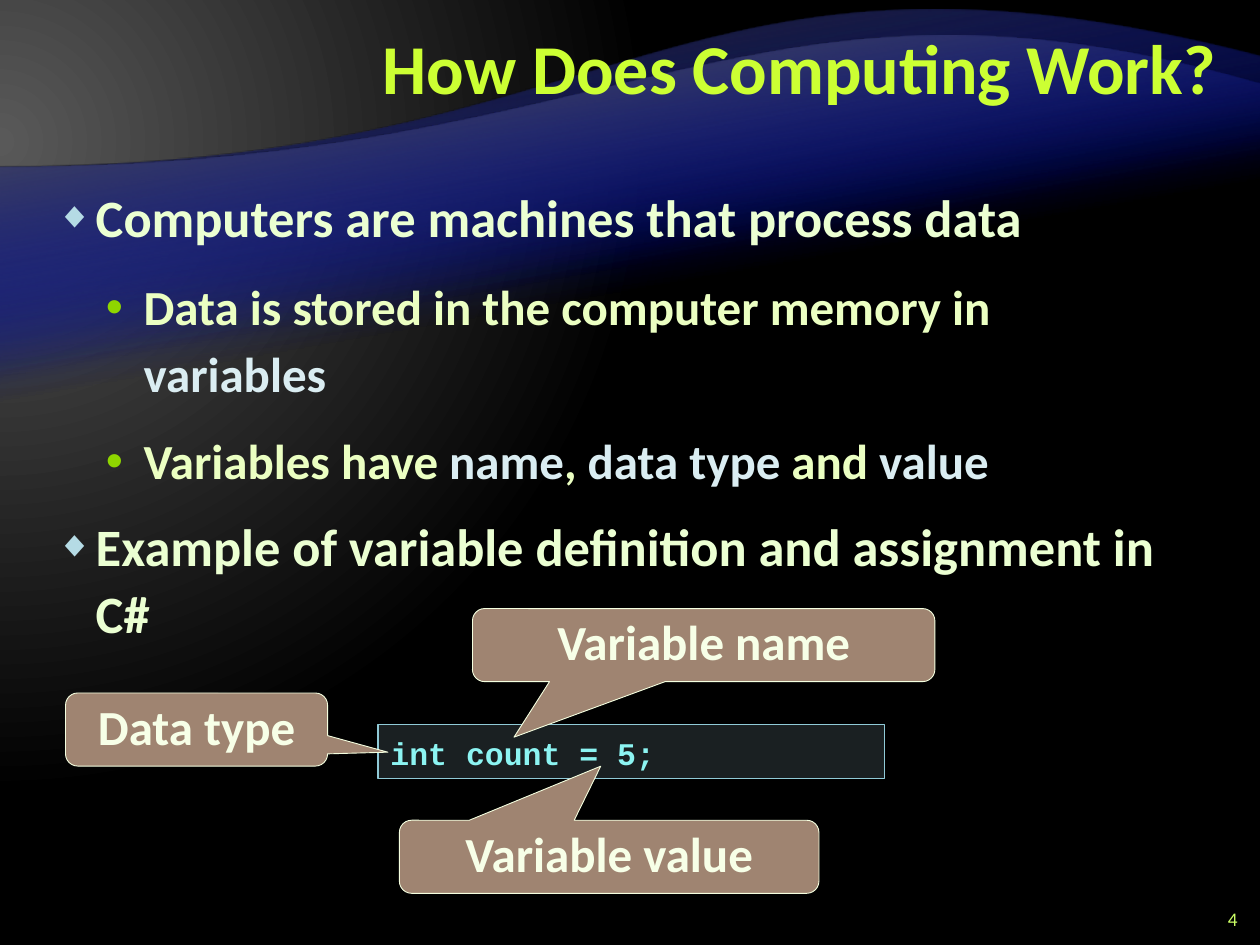
from lxml import etree
from pptx import Presentation
from pptx.dml.color import RGBColor
from pptx.enum.shapes import MSO_SHAPE as SHAPE
from pptx.enum.text import MSO_ANCHOR as ANCHOR, MSO_AUTO_SIZE as AUTO, PP_ALIGN as ALIGN
from pptx.oxml import parse_xml
from pptx.oxml.ns import nsdecls, qn
from pptx.util import Inches, Pt

MINT, LIME, ICE = "EBFFD2", "EBFFC2", "DAEDF2"


def rgb(color):
    return RGBColor.from_string(color)


def add_text(p, text, size=28, color=MINT, font="Calibri", bold=True,
             align=None, spacing=None):
    r = p.add_run()
    r.text = text
    r.font.size, r.font.name, r.font.bold = Pt(size), font, bold
    r.font.color.rgb = rgb(color)
    if align is not None:
        p.alignment = align
    if spacing is not None:
        p.line_spacing = spacing


prs = Presentation()
prs.slide_width, prs.slide_height = Inches(10), Inches(7.5)
s = prs.slides.add_slide(prs.slide_layouts[1])

# Background glow at the upper left
fill = s.background.fill
fill.gradient()
grad = s.background._cSld.find(".//" + qn("a:gradFill"))
grad.getparent().replace(grad, parse_xml(
    f'<a:gradFill {nsdecls("a")} rotWithShape="1"><a:gsLst>'
    '<a:gs pos="0"><a:srgbClr val="595959"/></a:gs>'
    '<a:gs pos="83000"><a:srgbClr val="000000"/></a:gs></a:gsLst>'
    '<a:path path="circle"><a:fillToRect l="20000" t="30000" r="135000" b="100000"/>'
    '</a:path></a:gradFill>'))

# Waves: drawn upside down and turned by 180 degrees, in hundredths of an inch
waves = [(45, 608, (466, 728), "262626"), (67, 490, (402, 606), "595959")] * 2
for i, (top, height, control, color) in enumerate(waves):
    shoulder = top + height - 133
    builder = s.shapes.build_freeform(0, 0, scale=Inches(0.01))
    builder.add_line_segments([(1000, 0), (1000, shoulder), (0, height)])
    sp = builder.convert_to_shape(0, Inches(top / 100))
    sp.rotation = 180
    sp.shadow.inherit = False
    sp.line.fill.background()
    curve = sp._element.findall(".//" + qn("a:lnTo"))[2]
    curve.tag = qn("a:cubicBezTo")
    for n, (x, y) in enumerate([(500, shoulder), control]):
        pt = etree.Element(qn("a:pt"), x=str(x), y=str(y))
        curve.insert(n, pt)
    sp.fill.gradient()
    grad = sp._element.spPr.find(qn("a:gradFill"))
    grad.getparent().replace(grad, parse_xml(
        f'<a:gradFill {nsdecls("a")} rotWithShape="1"><a:gsLst>'
        '<a:gs pos="65000"><a:srgbClr val="000D9E"><a:alpha val="0"/></a:srgbClr></a:gs>'
        f'<a:gs pos="100000"><a:srgbClr val="{color}"/></a:gs></a:gsLst>'
        '<a:lin ang="4800000" scaled="0"/></a:gradFill>'))
    s.shapes._spTree.insert(2 + i, sp._element)

# Title and list
title, body = s.shapes.title, s.placeholders[1]
for sp, box in ((title, (2, 0.08, 7.75, 1)), (body, (0.35, 1.39, 9.13, 5.83))):
    sp.left, sp.top, sp.width, sp.height = map(Inches, box)
    sp.text_frame.auto_size = AUTO.NONE
title.text_frame.vertical_anchor = ANCHOR.MIDDLE
add_text(title.text_frame.paragraphs[0], "How Does Computing Work?", size=40,
         color="CCFF33", align=ALIGN.RIGHT, spacing=Pt(40))

# level: left indent, hanging indent, bullet, bullet colour, bullet size, text size
levels = [(0.31, 0.31, "◆", "B5DBE5", 70, 30), (0.69, 0.3, "•", "8FD600", 100, 28)]
items = [
    (0, [("Computers are machines that process data", MINT)]),
    (1, [("Data is stored in the computer memory in ", LIME), ("variables", ICE)]),
    (1, [("Variables have ", LIME), ("name", ICE), (", ", LIME),
         ("data type ", ICE), ("and ", LIME), ("value", ICE)]),
    (0, [("Example of variable definition and assignment in C#", MINT)]),
]
tf = body.text_frame
for i, (level, parts) in enumerate(items):
    p = tf.add_paragraph() if i else tf.paragraphs[0]
    indent, hanging, bullet, bullet_color, bullet_size, size = levels[level]
    p.level = level
    p.space_before = p.space_after = Pt(6)
    for text, color in parts:
        add_text(p, text, size=size, color=color, spacing=Pt(38))
    pPr = p._p.get_or_add_pPr()
    pPr.set("marL", str(Inches(indent)))
    pPr.set("indent", str(-Inches(hanging)))
    color_xml = etree.SubElement(pPr, qn("a:buClr"))
    etree.SubElement(color_xml, qn("a:srgbClr"), val=bullet_color)
    etree.SubElement(pPr, qn("a:buSzPct"), val=str(bullet_size * 1000))
    etree.SubElement(pPr, qn("a:buFont"), typeface="Arial")
    etree.SubElement(pPr, qn("a:buChar"), char=bullet)

# Slide number
sp = s.shapes.add_textbox(Inches(9.42), Inches(7.17), Inches(0.5), Inches(0.25))
sp.text_frame.word_wrap = True
sp.text_frame.vertical_anchor = ANCHOR.MIDDLE
add_text(sp.text_frame.paragraphs[0], "4", size=11, color="CCFF66", bold=False,
         align=ALIGN.RIGHT)

# Code line and the callouts that point into it
code_format = dict(size=18, color="8CF4F2", font="Courier New", align=ALIGN.LEFT, spacing=1.1)
label_format = dict(color="F7FFE7", align=ALIGN.CENTER, spacing=Pt(30))
boxes = [
    ("int count = 5;", (3, 5.75, 4.02, 0.43), None),
    ("Data type", (0.52, 5.5, 2.08, 0.58), (0.73, 0.31)),
    ("Variable name", (3.75, 4.83, 3.67, 0.58), (-0.41, 1.26)),
    ("Variable value", (3.17, 6.51, 3.33, 0.58), (-0.02, -1.24)),
]
for text, box, tip in boxes:
    kind = SHAPE.ROUNDED_RECTANGULAR_CALLOUT if tip else SHAPE.RECTANGLE
    sp = s.shapes.add_shape(kind, *map(Inches, box))
    sp.shadow.inherit = False
    sp.fill.solid()
    sp.fill.fore_color.rgb = rgb("9F8471" if tip else "B5DBE5")
    sp.line.color.rgb = rgb("F5FFE0" if tip else "90CAD7")
    sp.line.width = Pt(0.5 if tip else 1)
    if tip:
        sp.adjustments[0], sp.adjustments[1] = tip
    else:
        fill_color = sp._element.spPr.find(qn("a:solidFill"))[0]
        etree.SubElement(fill_color, qn("a:alpha"), val="15000")
    sp.text_frame.word_wrap = True
    sp.text_frame.vertical_anchor = ANCHOR.TOP
    add_text(sp.text_frame.paragraphs[0], text, **(label_format if tip else code_format))

prs.save("out.pptx")
